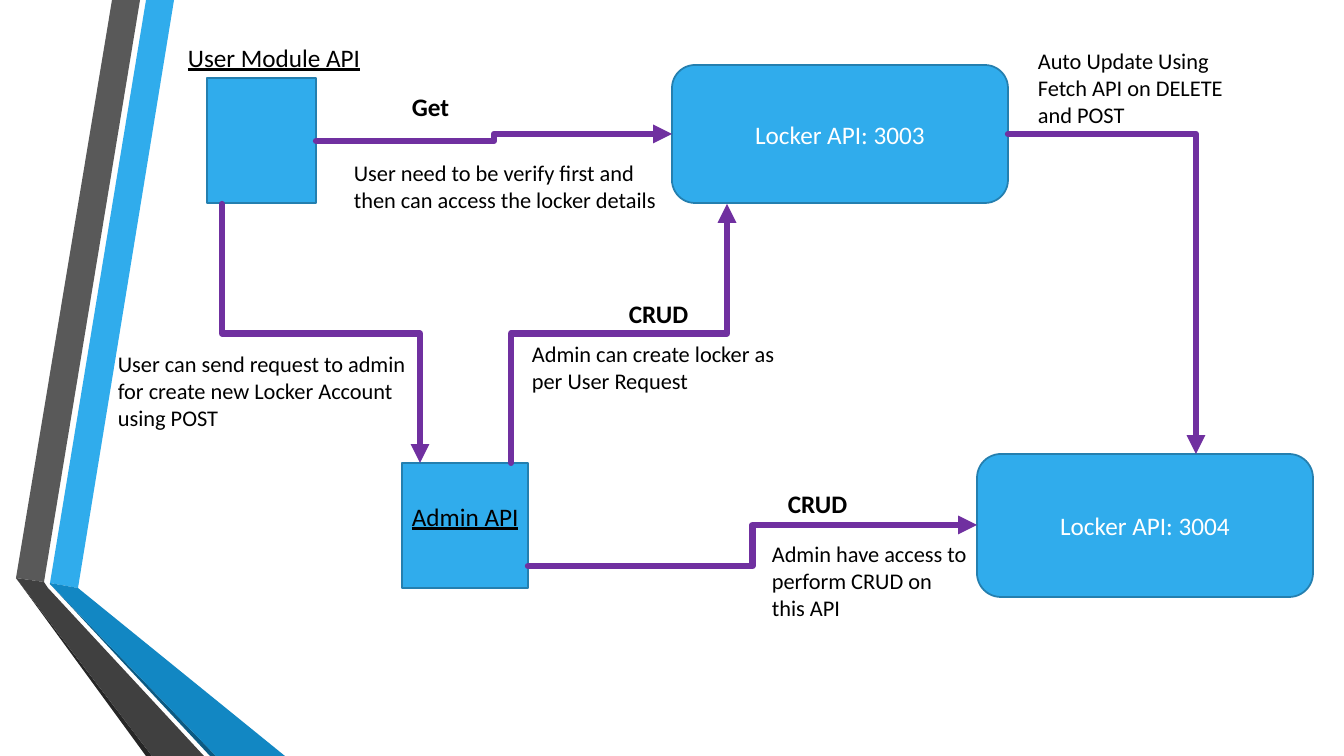
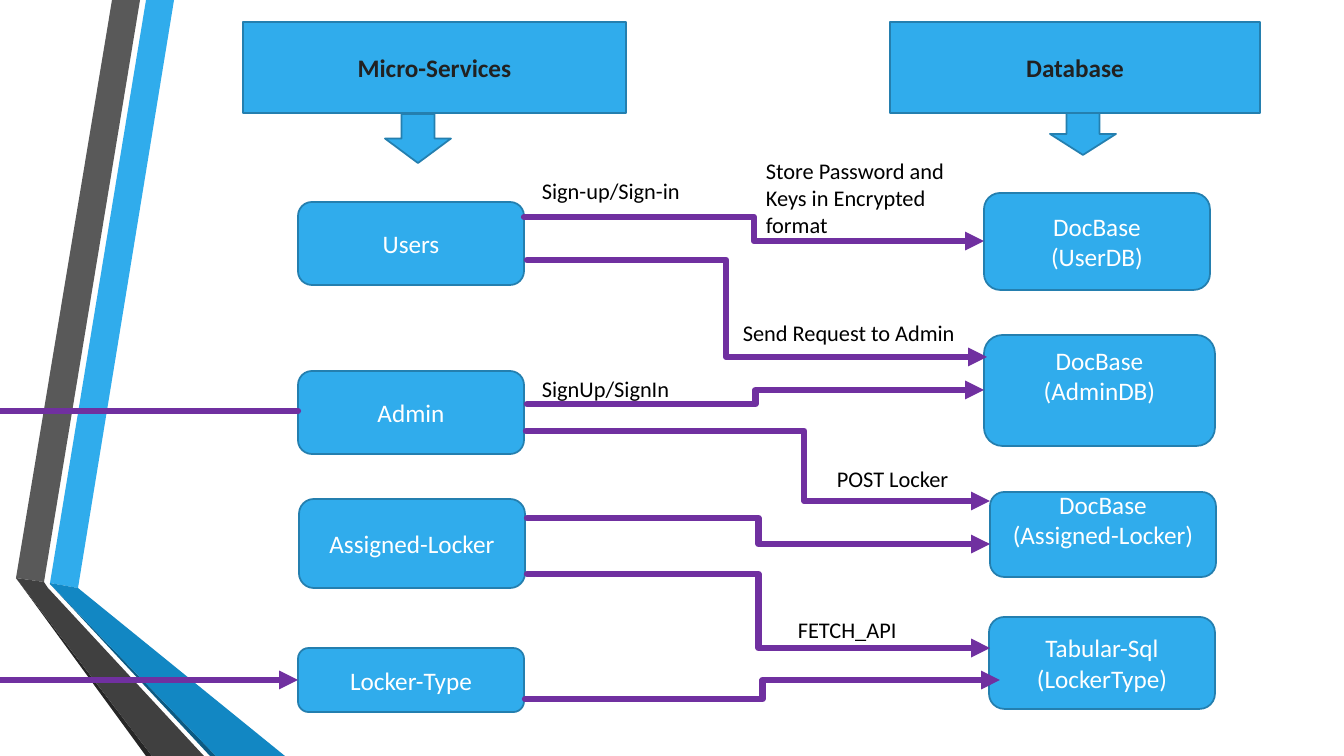
import pptx
import pptx.util
import pptx.dml.color
import pptx.enum.shapes
import pptx.enum.text
import pptx.oxml.ns
import lxml.etree

SHAPE = pptx.enum.shapes.MSO_SHAPE
CONNECTOR = pptx.enum.shapes.MSO_CONNECTOR
ANCHOR = pptx.enum.text.MSO_ANCHOR
ALIGN = pptx.enum.text.PP_ALIGN

COLORS = {
    "blue": "30ACEC", "edge": "247FAF", "arrow": "7030A0",
    "black": "000000", "white": "FFFFFF", "heading": "212121",
    "gray": "595959", "charcoal": "404040", "soot": "262626",
    "ocean": "1287C3", "navy": "0C5A82",
}

BANDS = [
    ("blue", [(50, 583), (78, 588), (174, 0), (146, 0)]),
    ("gray", [(140, 0), (112, 0), (16, 578), (44, 582)]),
    ("soot", [(16, 578), (146, 756), (152, 756)]),
    ("navy", [(50, 584), (210, 756), (216, 756)]),
    ("ocean", [(50, 584), (216, 756), (285, 756), (78, 588), (50, 583)]),
    ("charcoal", [(204, 756), (48, 588), (44, 582), (16, 578), (152, 756)]),
]


def px(n):
    """Turn picture pixels into EMU."""
    return pptx.util.Emu(round(n * 914400 / 100.8))


def rgb(name):
    """Look up a named colour."""
    return pptx.dml.color.RGBColor.from_string(COLORS[name])


def sub(parent, tag, **attrs):
    """Append a DrawingML child element."""
    return lxml.etree.SubElement(parent, pptx.oxml.ns.qn(tag), attrs)


class Deck:
    """Hold the presentation, its style and the current slide."""

    def __init__(self):
        """Start an empty deck."""
        self.prs = pptx.Presentation()
        self.prs.slide_width, self.prs.slide_height = px(1344), px(756)

    def new_slide(self):
        """Add a slide with the folded bands on its left."""
        self.s = self.prs.slides.add_slide(self.prs.slide_layouts[6])
        for color, points in BANDS:
            fb = self.s.shapes.build_freeform(*points[0], scale=px(100) / 100)
            fb.add_line_segments(points[1:], close=True)
            self.paint(fb.convert_to_shape(), color).line.fill.background()

    def paint(self, sp, color):
        """Fill a shape without shadow."""
        sp.shadow.inherit = False
        sp.fill.solid()
        sp.fill.fore_color.rgb = rgb(color)
        return sp

    def set_lines(self, tf, lines, color="black", size=16, bold=False, underline=False, align=ALIGN.LEFT):
        """Set one paragraph for each line."""
        tf.word_wrap = True
        for i, line in enumerate(lines):
            p = tf.add_paragraph() if i else tf.paragraphs[0]
            p.text = line
            p.alignment = align
            p.font.name = "Calibri"
            p.font.size = pptx.util.Pt(size)
            p.font.bold, p.font.underline = bold, underline
            p.font.color.rgb = rgb(color)

    def box(self, x, y, w, h, *lines, kind=SHAPE.ROUNDED_RECTANGLE, color="white", bold=False, lift=0):
        """Draw a blue shape with centred lines, raised by a bottom inset."""
        sp = self.paint(self.s.shapes.add_shape(kind, px(x), px(y), px(w), px(h)), "blue")
        sp.line.color.rgb = rgb("edge")
        sp.line.width = pptx.util.Pt(1.25)
        tf = sp.text_frame
        tf.vertical_anchor = ANCHOR.MIDDLE
        tf.margin_bottom = px(5 + lift)
        self.set_lines(tf, lines, color, 18, bold, align=ALIGN.CENTER)

    def text(self, x, y, w, h, line, **style):
        """Place a text box."""
        sp = self.s.shapes.add_textbox(px(x), px(y), px(w), px(h))
        self.set_lines(sp.text_frame, [line], **style)

    def line(self, x1, y1, x2, y2, kind=CONNECTOR.STRAIGHT, head=True):
        """Draw a thick purple connector."""
        c = self.s.shapes.add_connector(kind, px(x1), px(y1), px(x2), px(y2))
        c.line.color.rgb = rgb("arrow")
        c.line.width = pptx.util.Pt(4.5)
        ln = c.line._ln
        ln.set("cap", "rnd")
        if head:
            sub(ln, "a:tailEnd", type="triangle")
        spPr = c._element.spPr
        sub(spPr, "a:effectLst")
        return spPr

    def elbow(self, x1, y1, x2, y2, bend=50):
        """Draw a connector that leaves sideways and turns at bend percent."""
        spPr = self.line(x1, y1, x2, y2, CONNECTOR.ELBOW)
        if bend != 50:
            av = spPr.find(".//" + pptx.oxml.ns.qn("a:avLst"))
            sub(av, "a:gd", name="adj1", fmla=f"val {round(bend * 1000)}")

    def upright_elbow(self, x1, y1, x2, y2):
        """Draw a connector that leaves vertically and turns halfway."""
        cx, cy = (x1 + x2) / 2, (y1 + y2) / 2
        dx, dy = (x2 - x1) / 2, (y2 - y1) / 2
        spPr = self.line(cx - dy, cy + dx, cx + dy, cy - dx, CONNECTOR.ELBOW)
        spPr.find(pptx.oxml.ns.qn("a:xfrm")).set("rot", "5400000")

    def corner(self, x1, y1, x2, y2):
        """Draw a connector with a single turn."""
        spPr = self.line(x1, y1, x2, y2, CONNECTOR.ELBOW)
        spPr.find(pptx.oxml.ns.qn("a:prstGeom")).set("prst", "bentConnector2")


def api_flow(deck):
    """Build the slide on how the APIs call each other."""
    deck.new_slide()
    deck.box(207, 78, 109, 125, kind=SHAPE.RECTANGLE)
    deck.box(402, 463, 126, 125, kind=SHAPE.RECTANGLE)
    deck.box(672, 65, 336, 138, "Locker API: 3003")
    deck.box(977, 454, 336, 143, "Locker API: 3004")
    deck.corner(1008, 134, 1196, 454)
    deck.upright_elbow(511, 463, 727, 204)
    deck.upright_elbow(222, 204, 420, 463)
    deck.elbow(316, 141, 672, 134)
    deck.elbow(528, 566, 977, 525)
    for x, y, w, name in [(178, 37, 224, "User Module API"), (402, 496, 131, "Admin API")]:
        deck.text(x, y, w, 40, name, size=18, underline=True)
    for x, y, w, verb in [(402, 86, 174, "Get"), (619, 293, 87, "CRUD"), (778, 483, 109, "CRUD")]:
        deck.text(x, y, w, 40, verb, size=18, bold=True)
    for x, y, w, h, note in [
        (344, 154, 341, 65, "User need to be verify first and then can access the locker details"),
        (108, 345, 324, 92, "User can send request to admin for create new Locker Account using POST"),
        (1028, 42, 232, 92, "Auto Update Using Fetch API on DELETE and POST"),
        (522, 335, 287, 65, "Admin can create locker as per User Request"),
        (762, 535, 215, 92, "Admin have access to perform CRUD on this API"),
    ]:
        deck.text(x, y, w, h, note)


def service_map(deck):
    """Build the slide that links services to databases."""
    deck.new_slide()
    for x, w, title in [(243, 383, "Micro-Services"), (890, 370, "Database")]:
        deck.box(x, 22, w, 91, title, kind=SHAPE.RECTANGLE, color="heading", bold=True)
    for x, y, h in [(385, 114, 49), (1050, 113, 42)]:
        deck.box(x, y, 66, h, kind=SHAPE.DOWN_ARROW)
    for x, y, h, service in [
        (298, 202, 83, "Users"), (298, 371, 83, "Admin"),
        (299, 499, 89, "Assigned-Locker"), (298, 648, 64, "Locker-Type"),
    ]:
        deck.box(x, y, 226, h, service)
    for x, y, w, h, engine, database, lift in [
        (984, 193, 226, 97, "DocBase", "(UserDB)", 0),
        (984, 335, 231, 111, "DocBase", "(AdminDB)", 30),
        (990, 492, 226, 85, "DocBase", "(Assigned-Locker)", 30),
        (989, 617, 226, 92, "Tabular-Sql", "(LockerType)", 0),
    ]:
        deck.box(x, y, w, h, engine, database, lift=lift)
    for link in [
        (524, 217, 984, 241), (527, 260, 987, 357, 43.3),
        (527, 404, 984, 390), (526, 431, 990, 501, 60),
        (527, 518, 990, 544), (527, 574, 990, 648), (525, 699, 1000, 680),
    ]:
        deck.elbow(*link)
    deck.line(0, 411, 298, 411, head=False)
    deck.line(0, 680, 298, 680)
    deck.text(756, 152, 227, 92, "Store Password and Keys in Encrypted format")
    for x, y, w, label in [
        (733, 314, 257, "Send Request to Admin"), (532, 172, 187, "Sign-up/Sign-in"),
        (532, 370, 187, "SignUp/SignIn"), (788, 611, 150, "FETCH_API"),
        (827, 460, 158, "POST Locker"),
    ]:
        deck.text(x, y, w, 37, label)


deck = Deck()
api_flow(deck)
service_map(deck)
deck.prs.save("out.pptx")
